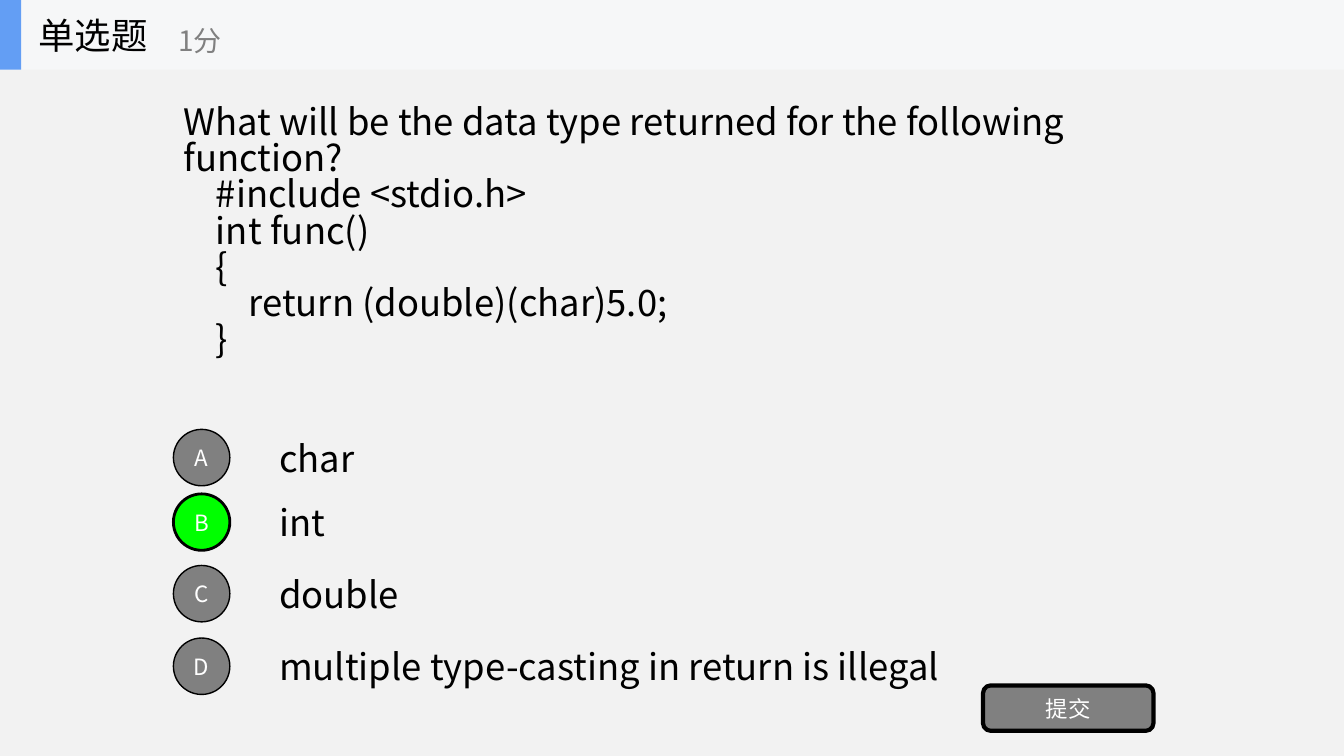
from dataclasses import dataclass

from lxml.etree import SubElement
from pptx import Presentation
from pptx.dml.color import RGBColor
from pptx.enum.shapes import MSO_SHAPE
from pptx.enum.text import MSO_ANCHOR, MSO_AUTO_SIZE, PP_ALIGN
from pptx.oxml.ns import qn
from pptx.shapes.autoshape import Shape
from pptx.slide import Slide
from pptx.util import Inches, Pt


@dataclass(frozen=True)
class Theme:
    font: str = "Noto Sans CJK SC"
    page: str = "F2F2F2"
    band: str = "F6F7F8"
    accent: str = "639EF4"
    ink: str = "000000"
    muted: str = "808080"
    correct: str = "00FF00"
    white: str = "FFFFFF"
    body: int = 26
    points: int = 20
    button: int = 16


@dataclass(frozen=True)
class Box:
    left: float
    top: float
    width: float
    height: float

    def inches(self) -> tuple[int, ...]:
        return tuple(map(Inches, (self.left, self.top, self.width, self.height)))


@dataclass(frozen=True)
class Option:
    letter: str
    text: str
    top: float
    correct: bool = False


THEME = Theme()
HEADER_H = 0.69
LEFT = 1.72
BADGE = 0.56
LABEL_H = 0.7

QUESTION = [
    "What will be the data type returned for the following function?",
    "    #include <stdio.h>",
    "    int func()",
    "    {",
    "        return (double)(char)5.0;",
    "    }",
]
OPTIONS = [
    Option("A", "char", 4.19),
    Option("B", "int", 4.83, correct=True),
    Option("C", "double", 5.54),
    Option("D", "multiple type-casting in return is illegal", 6.26),
]


def write(shape: Shape, lines: list[str], size: int, color: str,
          align: PP_ALIGN = PP_ALIGN.LEFT, spacing: float = 1.0) -> None:
    tf = shape.text_frame
    tf.word_wrap = True
    tf.auto_size = MSO_AUTO_SIZE.NONE
    tf.vertical_anchor = MSO_ANCHOR.MIDDLE
    tf.text = "\n".join(lines)
    for p in tf.paragraphs:
        p.alignment = align
        p.line_spacing = spacing
        p.font.size = Pt(size)
        p.font.color.rgb = RGBColor.from_string(color)
        p.font.name = THEME.font
        # East Asian glyphs take their own typeface element
        for props in p._p.iter(qn("a:defRPr")):
            SubElement(props, qn("a:ea"), typeface=THEME.font)


def add_text(s: Slide, box: Box, lines: list[str], size: int, color: str,
             spacing: float = 1.0) -> None:
    write(s.shapes.add_textbox(*box.inches()), lines, size, color, spacing=spacing)


def add_block(s: Slide, kind: MSO_SHAPE, box: Box, fill: str, line: float = 0) -> Shape:
    sp = s.shapes.add_shape(kind, *box.inches())
    sp.shadow.inherit = False
    sp.fill.solid()
    sp.fill.fore_color.rgb = RGBColor.from_string(fill)
    if line:
        sp.line.color.rgb = RGBColor.from_string(THEME.ink)
        sp.line.width = Pt(line)
    else:
        sp.line.fill.background()
    return sp


def add_button(s: Slide, kind: MSO_SHAPE, box: Box, text: str, fill: str, line: float) -> None:
    sp = add_block(s, kind, box, fill, line)
    tf = sp.text_frame
    tf.margin_left = tf.margin_right = tf.margin_top = tf.margin_bottom = 0
    write(sp, [text], THEME.button, THEME.white, PP_ALIGN.CENTER)


def add_option(s: Slide, option: Option) -> None:
    add_text(s, Box(2.67, option.top, 9.33, LABEL_H), [option.text], THEME.body, THEME.ink)
    badge = Box(LEFT, option.top + (LABEL_H - BADGE) / 2, BADGE, BADGE)
    fill, line = (THEME.correct, 2) if option.correct else (THEME.muted, 1)
    add_button(s, MSO_SHAPE.OVAL, badge, option.letter, fill, line)


def add_header(s: Slide) -> None:
    add_block(s, MSO_SHAPE.RECTANGLE, Box(0, 0, 13.33, HEADER_H), THEME.band)
    add_block(s, MSO_SHAPE.RECTANGLE, Box(0, 0, 0.21, HEADER_H), THEME.accent)
    title = s.shapes.title
    title.left, title.top, title.width, title.height = Box(0.28, 0, 2.08, HEADER_H).inches()
    write(title, ["单选题"], THEME.body, THEME.ink)
    s.shapes.element.append(title.element)  # bring the title in front of the band
    add_text(s, Box(1.67, 0.12, 2.5, 0.56), ["1分"], THEME.points, THEME.muted)


def main() -> None:
    prs = Presentation()
    prs.slide_width, prs.slide_height = Inches(13.33), Inches(7.5)
    s = prs.slides.add_slide(prs.slide_layouts.get_by_name("Title Only"))
    s.background.fill.solid()
    s.background.fill.fore_color.rgb = RGBColor.from_string(THEME.page)

    # Question and answers
    add_text(s, Box(LEFT, HEADER_H, 10.28, 3.25), QUESTION, THEME.body, THEME.ink, spacing=0.83)
    for option in OPTIONS:
        add_option(s, option)

    # Submit button and header band
    add_button(s, MSO_SHAPE.ROUNDED_RECTANGLE, Box(9.75, 6.8, 1.69, 0.45), "提交", THEME.muted, 3)
    add_header(s)

    prs.save("out.pptx")


if __name__ == "__main__":
    main()
